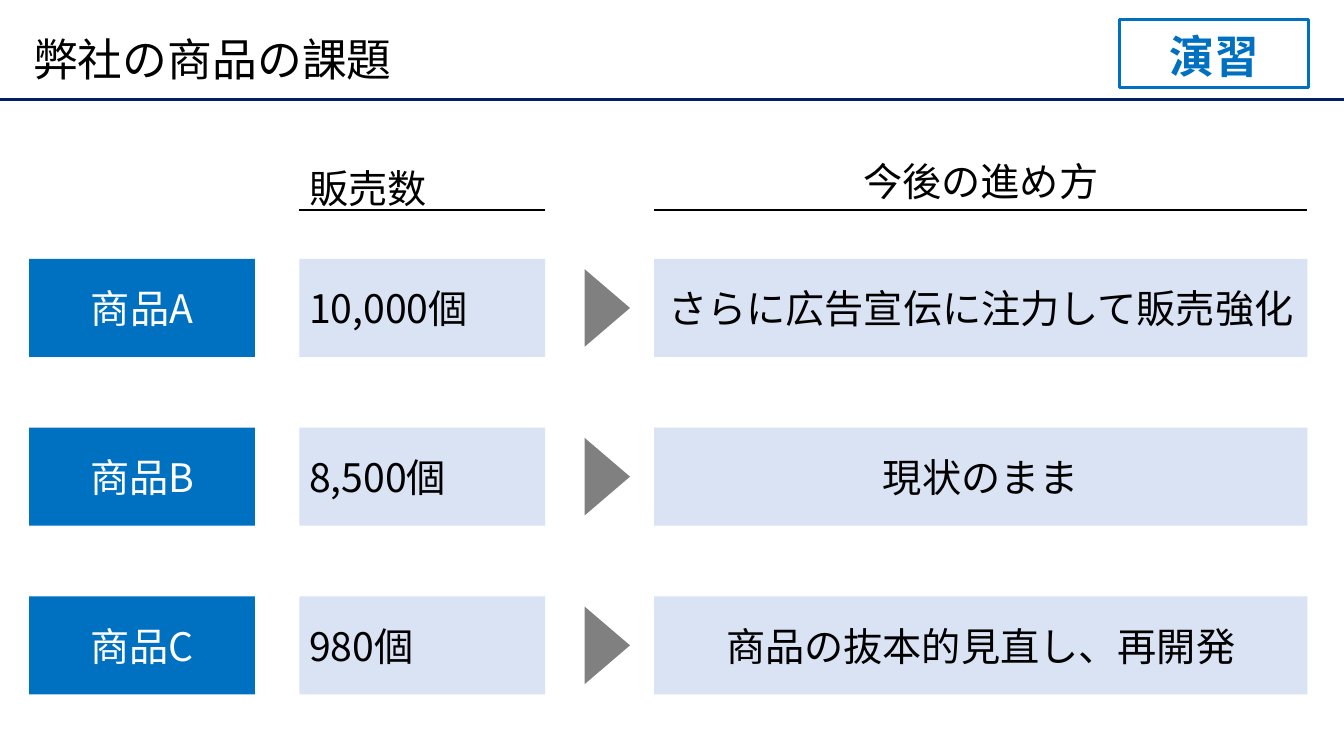
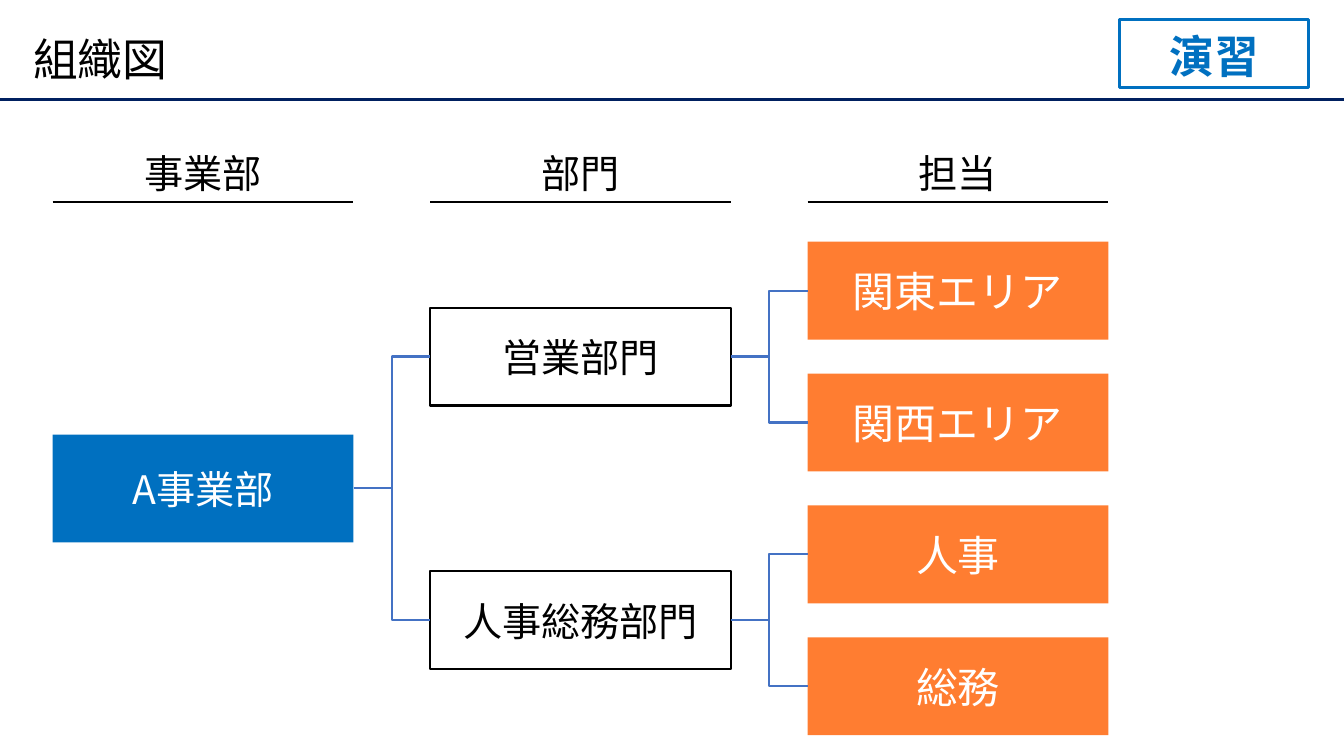
from collections import namedtuple
from dataclasses import dataclass

from lxml import etree
from pptx import Presentation
from pptx import util as u
from pptx.dml import color
from pptx.enum import shapes as es
from pptx.enum import text as et
from pptx.oxml import ns

Box = namedtuple("Box", "x y w h")
LEFT, MID = et.PP_ALIGN.LEFT, et.PP_ALIGN.CENTER


@dataclass(frozen=True)
class Theme:
    font: str = "Noto Sans CJK JP"
    ink: str = "000000"
    paper: str = "FFFFFF"
    navy: str = "002060"
    blue: str = "0070C0"
    pale: str = "DAE3F3"
    gray: str = "808080"
    orange: str = "FF7D31"
    link: str = "4472C4"
    title: float = 32
    body: float = 28
    leaf: float = 30
    thick: float = 2.25
    thin: float = 1.5


T = Theme()


def pts(*nums):
    return [u.Pt(n) for n in nums]


def rgb(code):
    return color.RGBColor.from_string(code)


def write(shape, words, size=T.body, ink=T.ink, align=MID, bold=False,
          anchor=et.MSO_ANCHOR.MIDDLE):
    frame = shape.text_frame
    frame.word_wrap = True
    frame.vertical_anchor = anchor
    frame.text = words
    para = frame.paragraphs[0]
    para.alignment = align
    for run in para.runs:
        font = run.font
        font.size, font.bold, font.name = u.Pt(size), bold, T.font
        font.color.rgb = rgb(ink)
        east = etree.SubElement(run._r.get_or_add_rPr(), ns.qn("a:ea"))
        east.set("typeface", T.font)
    return para


def label(slide, box, words, **style):
    return write(slide.shapes.add_textbox(*pts(*box)), words, **style)


def block(slide, box, fill=None, edge=None, width=T.thin,
          kind=es.MSO_SHAPE.RECTANGLE):
    shape = slide.shapes.add_shape(kind, *pts(*box))
    shape.shadow.inherit = False
    if fill:
        shape.fill.solid()
        shape.fill.fore_color.rgb = rgb(fill)
    else:
        shape.fill.background()
    if edge:
        shape.line.color.rgb = rgb(edge)
        shape.line.width = u.Pt(width)
    else:
        shape.line.fill.background()
    return shape


def card(slide, box, words, fill, edge=None, **style):
    shape = block(slide, box, fill, edge)
    write(shape, words, **style)
    return shape


def wire(slide, ends, ink, width=T.thin, kind=es.MSO_CONNECTOR.STRAIGHT):
    line = slide.shapes.add_connector(kind, *pts(*ends))
    line.line.color.rgb = rgb(ink)
    line.line.width = u.Pt(width)
    etree.SubElement(line._element.spPr, ns.qn("a:effectLst"))
    return line


def join(slide, start, end):
    line = wire(slide, (0, 0, 0, 0), T.link, kind=es.MSO_CONNECTOR.ELBOW)
    line.begin_connect(start, 3)
    line.end_connect(end, 1)


def head(slide, box, words, align=MID):
    label(slide, box, words, align=align, anchor=et.MSO_ANCHOR.TOP)


def rule(slide, x, y, w):
    wire(slide, (x, y, x + w, y), T.ink)


def banner(slide, box, words):
    base = box.y + box.h
    wire(slide, (box.x, base, box.x + box.w, base), T.navy, T.thick)
    para = label(slide, Box(box.x + 16.6, box.y + 14.4, 907, 60.5), words,
                 size=T.title, align=LEFT)
    para.line_spacing = 0.9
    badge = block(slide, Box(box.x + 799.5, box.y + 14, 135.5, 48.5),
                  edge=T.blue, width=T.thick)
    write(badge, "演習", size=T.title, ink=T.blue, bold=True,
          anchor=et.MSO_ANCHOR.BOTTOM)


def plans(slide, box, rows):
    tall, step, top = 70, 120.5, box.y + 76.2
    sales, plan = box.x + 193, box.x + 446.5
    wide, long = 175.7, box.w - 446.5
    base = box.y + 41
    head(slide, Box(sales, box.y + 5, wide, 41), "販売数", LEFT)
    head(slide, Box(plan, box.y, long, 41), "今後の進め方")
    rule(slide, sales, base, wide)
    rule(slide, plan, base, long)
    for i, (name, count, todo) in enumerate(rows):
        y = top + i * step
        card(slide, Box(box.x, y, 161.3, tall), name, T.blue, ink=T.paper)
        card(slide, Box(sales, y, wide, tall), count, T.pale, align=LEFT)
        card(slide, Box(plan, y, long, tall), todo, T.pale)
        w, h = 55.4, 32.4
        arrow = block(slide, Box(box.x + 413 - w / 2, y + (tall - h) / 2, w, h),
                      T.gray, kind=es.MSO_SHAPE.ISOSCELES_TRIANGLE)
        arrow.rotation = 90


def chart(slide, box, heads, root, teams):
    wide, tall, step = 214.8, 70, 94.2
    gap = (box.w - 3 * wide) / 2
    cols = [box.x + i * (wide + gap) for i in range(3)]
    for x, words in zip(cols, heads):
        head(slide, Box(x + 43, box.y, wide - 86, 41), words)
        rule(slide, x, box.y + 41, wide)

    def node(col, mid, words, fill, high=tall, **style):
        return card(slide, Box(cols[col], mid - high / 2, wide, high),
                    words, fill, **style)

    first = box.y + 104.6
    count = sum(len(leaves) for leaves in teams.values())
    top = node(0, first + (count - 1) * step / 2, root, T.blue, 77,
               ink=T.paper)
    row = 0
    for name, leaves in teams.items():
        mids = [first + (row + i) * step for i in range(len(leaves))]
        team = node(1, sum(mids) / len(mids), name, T.paper, edge=T.ink)
        join(slide, top, team)
        for mid, words in zip(mids, leaves):
            leaf = node(2, mid, words, T.orange, size=T.leaf, ink=T.paper)
            join(slide, team, leaf)
        row += len(leaves)


def main():
    deck = Presentation()
    deck.slide_width, deck.slide_height = pts(960, 540)

    def page(title):
        slide = deck.slides.add_slide(deck.slide_layouts[6])
        banner(slide, Box(0, 0, 960, 71.2), title)
        return slide

    plans(page("弊社の商品の課題"), Box(20.8, 108.8, 913, 388), [
        ("商品A", "10,000個", "さらに広告宣伝に注力して販売強化"),
        ("商品B", "8,500個", "現状のまま"),
        ("商品C", "980個", "商品の抜本的見直し、再開発"),
    ])
    chart(page("組織図"), Box(37.7, 103, 754, 422),
          ("事業部", "部門", "担当"), "A事業部", {
              "営業部門": ("関東エリア", "関西エリア"),
              "人事総務部門": ("人事", "総務"),
          })
    deck.save("out.pptx")


if __name__ == "__main__":
    main()
